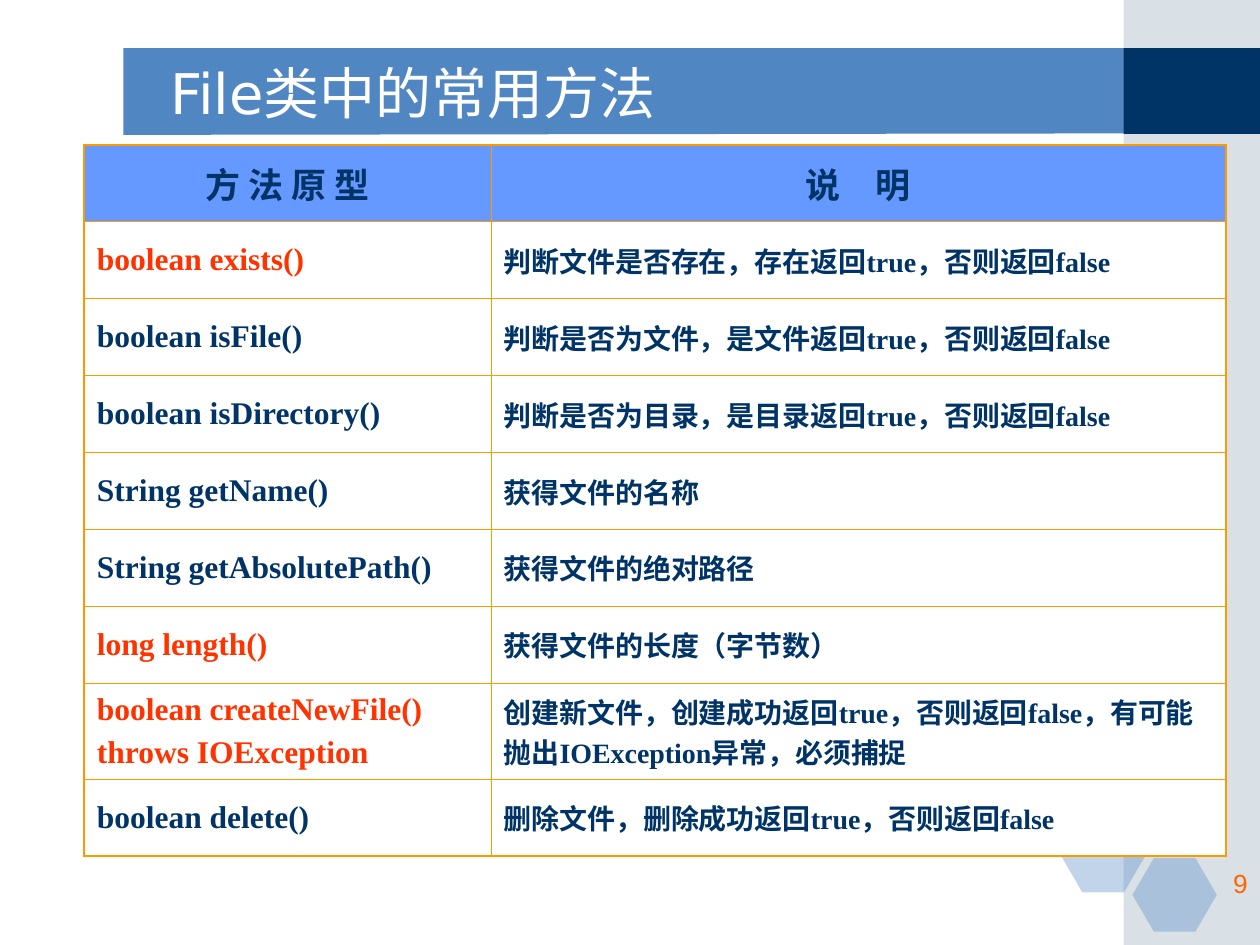
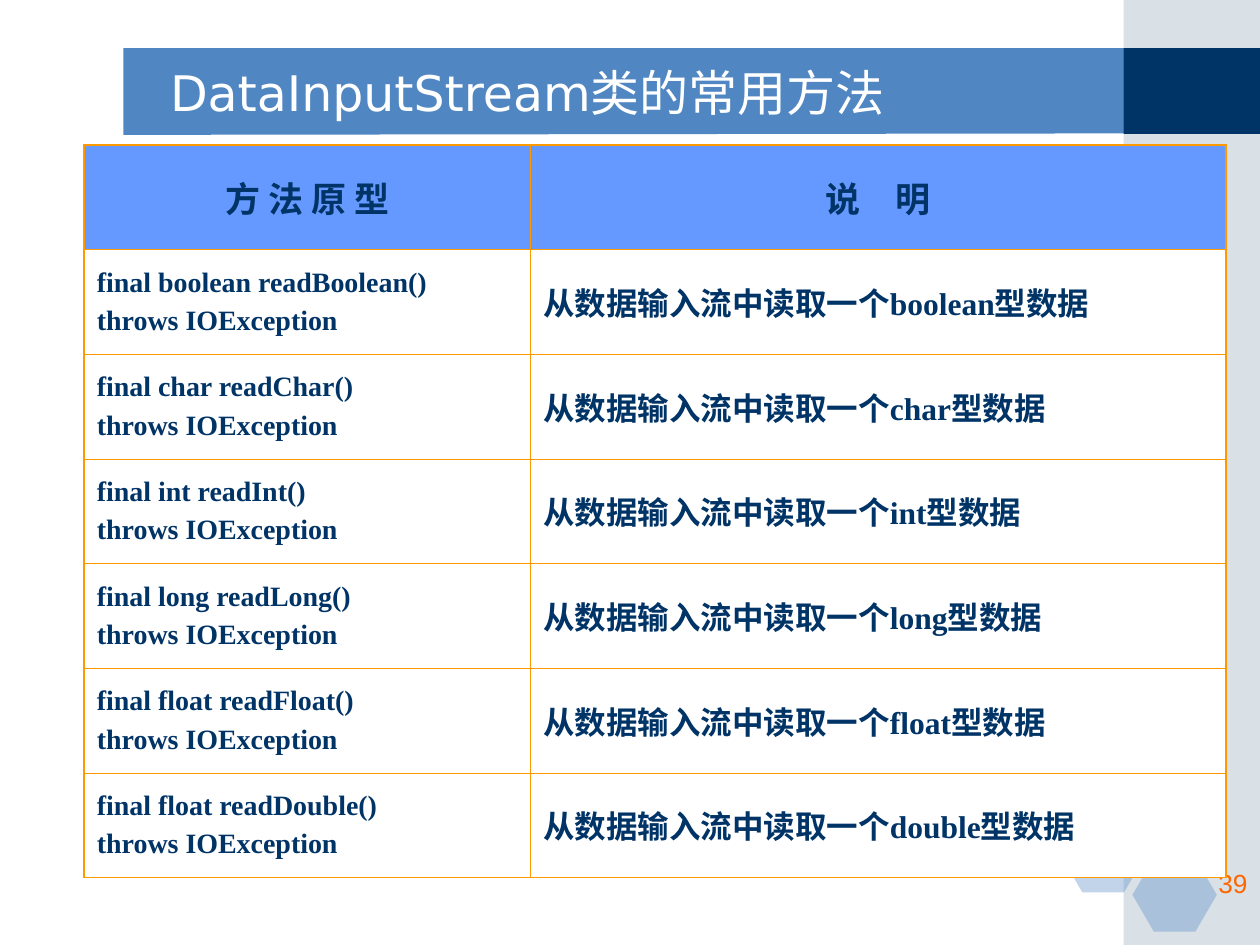
from lxml import etree
from pptx import Presentation
from pptx import util as u
from pptx.dml.color import RGBColor
from pptx.enum import shapes, text
from pptx.oxml import ns

WHITE = RGBColor(0xFF, 0xFF, 0xFF)
BAND_BLUE = RGBColor(0x50, 0x86, 0xC2)
STRIPE_GREY = RGBColor(0xA0, 0xB5, 0xC4)
NAVY = RGBColor(0x00, 0x33, 0x66)
HEADER_BLUE = RGBColor(0x66, 0x99, 0xFF)
BORDER_ORANGE = RGBColor(0xFF, 0x99, 0x00)
NUMBER_ORANGE = RGBColor(0xFF, 0x66, 0x00)
RED = RGBColor(0xFF, 0x33, 0x00)

HEADINGS = ("方 法 原 型", "说　明")
TABLE_WIDTH = 23.01
HEXAGONS = ((21.39, 16.51), (22.86, 15.67), (22.83, 17.3))

FILE_METHODS = [
    ("boolean exists()", "判断文件是否存在，存在返回true，否则返回false"),
    ("boolean isFile()", "判断是否为文件，是文件返回true，否则返回false"),
    ("boolean isDirectory()", "判断是否为目录，是目录返回true，否则返回false"),
    ("String getName()", "获得文件的名称"),
    ("String getAbsolutePath()", "获得文件的绝对路径"),
    ("long length()", "获得文件的长度（字节数）"),
    ("boolean createNewFile()\nthrows IOException",
     "创建新文件，创建成功返回true，否则返回false，有可能抛出IOException异常，必须捕捉"),
    ("boolean delete()", "删除文件，删除成功返回true，否则返回false"),
]
KEY_ROWS = (1, 6, 7)

READERS = [
    ("boolean", "readBoolean"),
    ("char", "readChar"),
    ("int", "readInt"),
    ("long", "readLong"),
    ("float", "readFloat"),
    ("float", "readDouble"),
]


class Deck:
    def __init__(self):
        self.prs = Presentation()
        self.prs.slide_width, self.prs.slide_height = u.Cm(25.4), u.Cm(19.05)
        self.slide = None

    def paint(self, shape, color, opacity=100):
        shape.shadow.inherit = False
        shape.fill.solid()
        shape.fill.fore_color.rgb = color
        shape.line.fill.background()
        if opacity < 100:
            clr = shape.element.spPr.find(".//" + ns.qn("a:srgbClr"))
            etree.SubElement(clr, ns.qn("a:alpha"), val=str(opacity * 1000))

    def preset(self, kind, box, color, opacity=100):
        shape = self.slide.shapes.add_shape(kind, *map(u.Cm, box))
        self.paint(shape, color, opacity)
        return shape

    def band(self, corners, color):
        first, *rest = [(u.Cm(x), u.Cm(y)) for x, y in corners]
        builder = self.slide.shapes.build_freeform(*first)
        builder.add_line_segments(rest, close=True)
        self.paint(builder.convert_to_shape(), color)

    def set_words(self, frame, words, size, font, color, align, bold=False, gap=0):
        frame.word_wrap = True
        frame.text = words
        for index, paragraph in enumerate(frame.paragraphs):
            paragraph.alignment = align
            if index:
                paragraph.space_before = u.Pt(gap)
            for run in paragraph.runs:
                run.font.size = u.Pt(size)
                run.font.name = font
                run.font.bold = bold
                run.font.color.rgb = color

    def label(self, box, words, size, font, color, align, anchor):
        frame = self.slide.shapes.add_textbox(*map(u.Cm, box)).text_frame
        frame.vertical_anchor = anchor
        self.set_words(frame, words, size, font, color, align)

    def page(self, title, title_size, number):
        self.slide = self.prs.slides.add_slide(self.prs.slide_layouts[6])
        self.band([(2.49, 0.97), (22.73, 0.97), (22.73, 2.69), (2.49, 2.72)], BAND_BLUE)
        rectangle = shapes.MSO_SHAPE.RECTANGLE
        self.preset(rectangle, (22.65, 0, 2.75, 19.05), STRIPE_GREY, 40)
        self.preset(rectangle, (22.65, 0.97, 2.75, 1.73), NAVY)
        for left, top in HEXAGONS:
            hexagon = self.preset(shapes.MSO_SHAPE.HEXAGON, (left, top, 1.7, 1.48), BAND_BLUE, 35)
            hexagon.adjustments[0] = 0.29
        self.label((3.18, 1.07, 18.62, 1.57), title, title_size, "DejaVu Sans", WHITE,
                   text.PP_ALIGN.LEFT, text.MSO_ANCHOR.MIDDLE)
        self.label((20.12, 17.35, 5.28, 1.27), number, 15, "Arial", NUMBER_ORANGE,
                   text.PP_ALIGN.RIGHT, text.MSO_ANCHOR.TOP)

    def border(self, cell, side, width):
        line = etree.SubElement(cell._tc.get_or_add_tcPr(), ns.qn("a:ln" + side),
                                w=str(u.Pt(width)))
        fill = etree.SubElement(line, ns.qn("a:solidFill"))
        etree.SubElement(fill, ns.qn("a:srgbClr"), val=str(BORDER_ORANGE))

    def method_table(self, methods, first_width, heights, sizes, key_rows=()):
        rows = [HEADINGS, *methods]
        table = self.slide.shapes.add_table(
            len(rows), 2, u.Cm(1.7), u.Cm(2.92), u.Cm(TABLE_WIDTH), u.Cm(sum(heights))).table
        table.first_row = table.horz_banding = False
        for column, width in zip(table.columns, (first_width, TABLE_WIDTH - first_width)):
            column.width = u.Cm(width)
        for r, (row, height) in enumerate(zip(rows, heights)):
            table.rows[r].height = u.Cm(height)
            for c, words in enumerate(row):
                cell = table.cell(r, c)
                outer = {"L": c == 0, "R": c == 1, "T": r == 0, "B": r == len(rows) - 1}
                for side, is_outer in outer.items():
                    self.border(cell, side, 1.08 if is_outer else 0.45)
                cell.fill.solid()
                cell.fill.fore_color.rgb = WHITE if r else HEADER_BLUE
                cell.vertical_anchor = text.MSO_ANCHOR.MIDDLE
                size = sizes[c] if r else 20
                self.set_words(cell.text_frame, words, size, "Times New Roman",
                               RED if c == 0 and r in key_rows else NAVY,
                               text.PP_ALIGN.LEFT if r else text.PP_ALIGN.CENTER,
                               bold=True, gap=size / 4)


def main():
    deck = Deck()
    deck.page("File类中的常用方法", 32, "9")
    deck.method_table(FILE_METHODS, 8.2, [1.55] * 7 + [1.93, 1.55], (18, 16), KEY_ROWS)

    deck.page("DataInputStream类的常用方法", 28, "39")
    readers = [(f"final {result} {name}()\nthrows IOException",
                f"从数据输入流中读取一个{name.removeprefix('read').lower()}型数据")
               for result, name in READERS]
    deck.method_table(readers, 9, [2.11] * 7, (16, 18))
    deck.prs.save("out.pptx")


if __name__ == "__main__":
    main()
